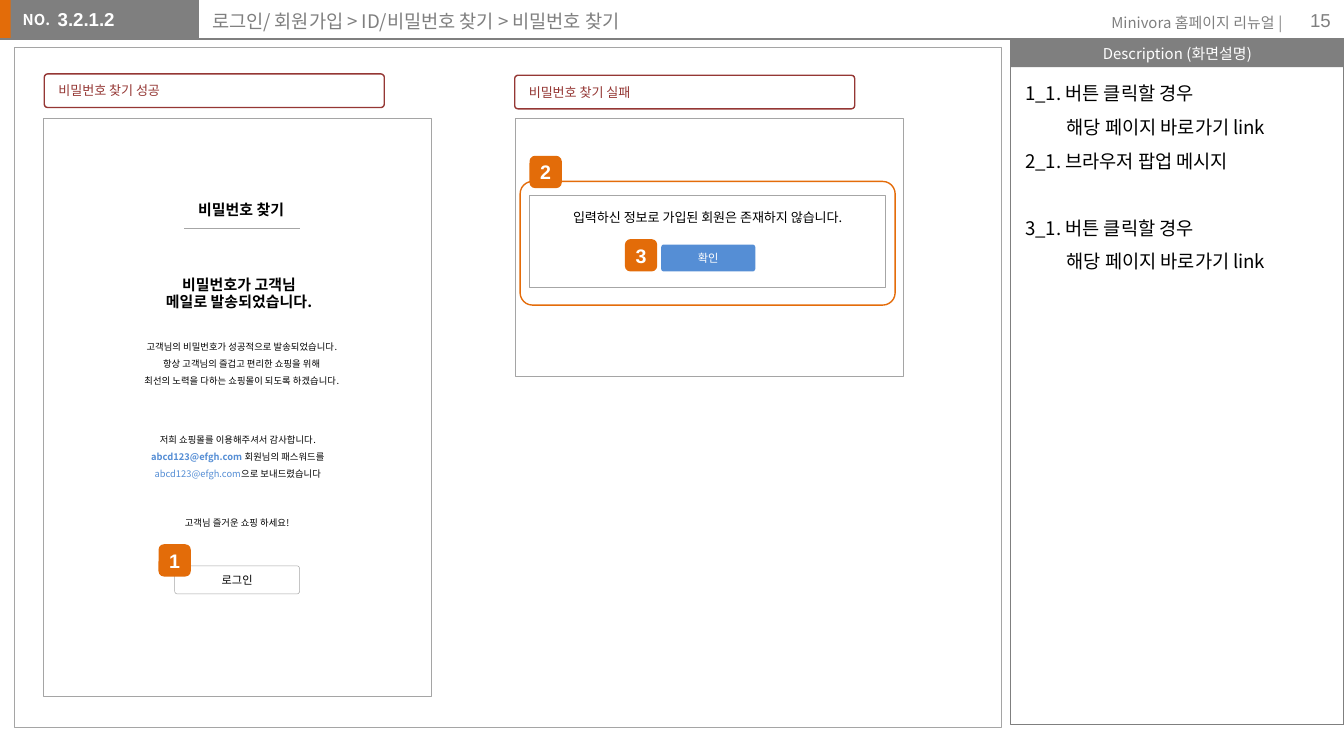
from lxml import etree
from pptx import Presentation
from pptx.dml.color import RGBColor
from pptx.enum.shapes import MSO_CONNECTOR, MSO_SHAPE
from pptx.enum.text import MSO_ANCHOR, PP_ALIGN
from pptx.oxml.ns import qn
from pptx.util import Inches, Pt

RECT, ROUND = MSO_SHAPE.RECTANGLE, MSO_SHAPE.ROUNDED_RECTANGLE
STRAIGHT = MSO_CONNECTOR.STRAIGHT
TOP, MIDDLE = MSO_ANCHOR.TOP, MSO_ANCHOR.MIDDLE
LEFT, CENTER, RIGHT = PP_ALIGN.LEFT, PP_ALIGN.CENTER, PP_ALIGN.RIGHT

KOREAN, LATIN = "Noto Sans CJK KR", "Arial"
WHITE, BLACK, GRAY, RULE = "FFFFFF", "000000", "7F7F7F", "A6A6A6"
ORANGE, RED, BLUE = "E36C09", "953734", "558ED5"
NORMAL, LOOSE = 1.2, 1.8  # line pitch as a multiple of the text size


def color(target, value):
    """Colour a fill, or the colour format of a font."""
    if hasattr(target, "solid"):
        target.solid()
        target = target.fore_color
    target.rgb = RGBColor.from_string(value)


def write(sp, paras, size=8, font=KOREAN, fg=BLACK, bold=False, align=CENTER,
          anchor=MIDDLE, pitch=NORMAL, inset=(0.1, 0.05), wrap=True):
    """A paragraph is a string or a list of (text, colour, bold) runs."""
    tf = sp.text_frame
    tf.word_wrap, tf.vertical_anchor = wrap, anchor
    tf.margin_left = tf.margin_right = Inches(inset[0])
    tf.margin_top = tf.margin_bottom = Inches(inset[1])
    for i, para in enumerate([paras] if isinstance(paras, str) else paras):
        p = tf.add_paragraph() if i else tf.paragraphs[0]
        p.alignment = align
        if font == KOREAN:
            p.line_spacing = Pt(round(size * pitch, 1))
        runs = [(para, fg, bold)] if isinstance(para, str) else para
        for text, run_color, run_bold in runs:
            r = p.add_run()
            r.text = text
            r.font.size, r.font.name, r.font.bold = Pt(size), font, run_bold
            color(r.font.color, run_color)
            ea = etree.SubElement(r.font._element, qn("a:ea"))
            ea.set("typeface", font)
    return tf


def label(x, y, w, h, paras, **fmt):
    sp = slide.shapes.add_textbox(Inches(x), Inches(y), Inches(w), Inches(h))
    return write(sp, paras, **fmt)


def box(x, y, w, h, kind=RECT, fill=None, line=None, width=0.25, adj=0.1, alpha=None):
    sp = slide.shapes.add_shape(kind, Inches(x), Inches(y), Inches(w), Inches(h))
    sp.shadow.inherit = False
    if kind == ROUND:
        sp.adjustments[0] = adj
    if fill:
        color(sp.fill, fill)
    else:
        sp.fill.background()
    if alpha:
        clr = sp._element.spPr.find(".//" + qn("a:srgbClr"))
        etree.SubElement(clr, qn("a:alpha")).set("val", str(alpha * 1000))
    if line:
        color(sp.line.fill, line)
        sp.line.width = Pt(width)
    else:
        sp.line.fill.background()
    return sp


def rule(x, y, w, line):
    cx = slide.shapes.add_connector(STRAIGHT, Inches(x), Inches(y), Inches(x + w), Inches(y))
    color(cx.line.fill, line)
    cx.line.width = Pt(0.75)
    etree.SubElement(cx._element.spPr, qn("a:effectLst"))


def panel(x, y, w, h):
    box(x, y, w, h, fill=WHITE, line="A5A5A5", alpha=70)


def badge(x, y, number):
    sp = box(x, y, 0.24, 0.24, ROUND, ORANGE, adj=0.17)
    write(sp, str(number), size=10.5, font=LATIN, fg=WHITE, bold=True, inset=(0, 0.05))


def caption(x, y, text):
    sp = box(x, y, 2.53, 0.25, ROUND, WHITE, RED, 0.75)
    write(sp, text, size=7, fg=RED, align=LEFT)


def header(x, y, h):
    box(x - 0.01, y, 0.12, h, fill=ORANGE)
    box(x + 0.08, y, 1.4, h, fill=GRAY)
    label(x + 0.07, y + 0.03, 0.41, 0.24, "NO.", fg=WHITE, bold=True,
          align=LEFT, anchor=TOP, wrap=False)
    label(x + 0.43, y + 0.01, 1.1, 0.31, "3.2.1.2", size=10, font=LATIN, fg=WHITE,
          bold=True, align=LEFT, anchor=TOP, inset=(0, 0.05))
    label(x + 1.48, y - 0.03, 5.42, 0.32, "로그인/ 회원가입 > ID/비밀번호 찾기 > 비밀번호 찾기",
          size=10, fg=GRAY, align=LEFT, anchor=TOP, pitch=1.3, inset=(0.1, 0.1))
    label(x + 8, y + 0.05, 1.64, 0.24, "Minivora 홈페이지 리뉴얼 |",
          fg=GRAY, align=RIGHT, anchor=TOP)
    label(x + 9.4, y, 0.6, 0.3, "15", size=10, font=LATIN, fg=GRAY, align=RIGHT)
    rule(x, y + h, 7.66, GRAY)


def description(x, y, w, h):
    write(box(x, y, w, 0.21, fill=GRAY), "Description (화면설명)", fg=WHITE)
    box(x, y, w, h, line=GRAY, width=0.75)
    link = "해당 페이지 바로가기 link"
    notes = ["1_1. 버튼 클릭할 경우", link, "2_1. 브라우저 팝업 메시지",
             "3_1. 버튼 클릭할 경우", link]
    tf = label(x + 0.01, y + 0.19, w - 0.01, 1.62, notes, size=10,
               align=LEFT, anchor=TOP, pitch=LOOSE)
    for p in tf.paragraphs:
        if p.text == link:
            p._p.get_or_add_pPr().set("marL", str(Inches(0.31)))
    tf.paragraphs[2].space_after = Pt(18)


def success_screen(x, y):
    caption(x + 0.01, y - 0.33, "비밀번호 찾기 성공")
    panel(x, y, 2.89, 4.3)
    label(x + 0.98, y + 0.59, 0.99, 0.18, "비밀번호 찾기", bold=True)
    rule(x + 1.05, y + 0.82, 0.86, RULE)
    label(x + 0.59, y + 1.11, 1.74, 0.38,
          ["비밀번호가 고객님", "메일로 발송되었습니다."], bold=True)
    mail = "abcd123@efgh.com"
    messages = [
        (0.54, 1.57, 1.88, 0.48, ["고객님의 비밀번호가 성공적으로 발송되었습니다.",
                                  "항상 고객님의 즐겁고 편리한 쇼핑을 위해",
                                  "최선의 노력을 다하는 쇼핑몰이 되도록 하겠습니다."]),
        (0.63, 2.26, 1.64, 0.48, ["저희 쇼핑몰를 이용해주셔서 감사합니다.",
                                  [(mail + " ", BLUE, True), ("회원님의 패스워드를", BLACK, False)],
                                  [(mail, BLUE, False), ("으로 보내드렸습니다", BLACK, False)]]),
        (0.66, 2.88, 1.57, 0.21, ["고객님 즐거운 쇼핑 하세요!"]),
    ]
    for dx, dy, w, h, paras in messages:
        label(x + dx, y + dy, w, h, paras, size=5, anchor=TOP, pitch=LOOSE)
    write(box(x + 0.98, y + 3.33, 0.93, 0.21, ROUND, line=RULE), "로그인", size=6)
    badge(x + 0.86, y + 3.17, 1)


def failure_screen(x, y):
    caption(x, y - 0.32, "비밀번호 찾기 실패")
    panel(x, y, 2.89, 1.92)
    popup = box(x + 0.11, y + 0.57, 2.65, 0.69, line=RULE)
    write(popup, "입력하신 정보로 가입된 회원은 존재하지 않습니다.", size=7,
          anchor=TOP, pitch=LOOSE)
    write(box(x + 1.09, y + 0.94, 0.7, 0.2, ROUND, BLUE), "확인", size=6, fg=WHITE)
    badge(x + 0.11, y + 0.28, 2)
    box(x + 0.04, y + 0.47, 2.79, 0.92, ROUND, line="E46C0A", width=0.75)
    badge(x + 0.82, y + 0.9, 3)


# Widescreen 16:9 page
prs = Presentation()
prs.slide_width, prs.slide_height = Inches(10), Inches(10 * 9 / 16)
slide = prs.slides.add_slide(prs.slide_layouts[6])

# Page frame
header(0, 0, 0.29)
description(7.52, 0.29, 2.48, 5.1)
panel(0.11, 0.35, 7.34, 5.06)

# Screens
success_screen(0.32, 0.88)
failure_screen(3.83, 0.88)

prs.save("out.pptx")
